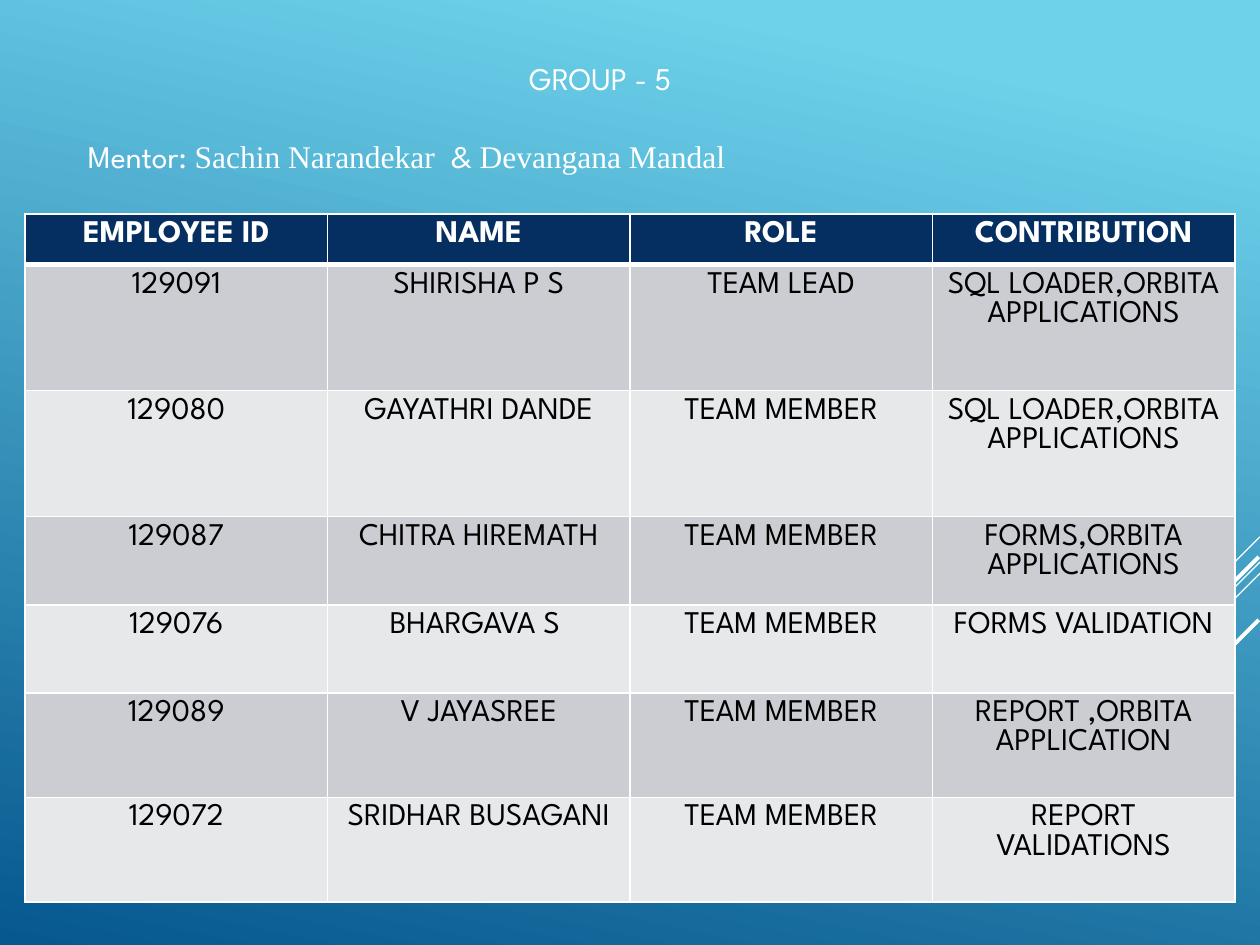
from dataclasses import dataclass

from lxml.etree import SubElement
from pptx import Presentation
from pptx.dml.color import RGBColor
from pptx.enum.text import MSO_ANCHOR, PP_ALIGN
from pptx.oxml.ns import qn
from pptx.util import Inches, Pt


@dataclass(frozen=True)
class Theme:
    sky: str = "6ED2EB"
    deep: str = "06588E"
    white: str = "FFFFFF"
    black: str = "000000"
    header: str = "052F61"
    bands: tuple = ("CCCDD2", "E7E8EA")
    sans: str = "League Spartan"
    serif: str = "Times New Roman"
    size: int = 18


class SlideBuilder:
    """Holds the theme and the current slide; lengths are shares of the slide."""

    def __init__(self, deck, theme):
        self.deck, self.theme = deck, theme
        self.slide = deck.slides.add_slide(deck.slide_layouts[5])

    def place(self, x, y):
        return int(x * self.deck.slide_width), int(y * self.deck.slide_height)

    def background(self, angle):
        fill = self.slide.background.fill
        fill.gradient()
        fill.gradient_angle = 360 - angle
        stops = ((0.1, self.theme.sky), (1, self.theme.deep))
        for stop, (position, color) in zip(fill.gradient_stops, stops):
            stop.position = position
            stop.color.rgb = RGBColor.from_string(color)

    def add_runs(self, paragraph, runs, color, align=PP_ALIGN.LEFT, bold=False):
        paragraph.alignment = align
        for text, face in runs:
            run = paragraph.add_run()
            run.text = text
            run.font.name, run.font.size = face, Pt(self.theme.size)
            run.font.bold = bold
            run.font.color.rgb = RGBColor.from_string(color)

    def fill_frame(self, shape, runs):
        frame = shape.text_frame
        frame.word_wrap = True
        frame.vertical_anchor = MSO_ANCHOR.TOP
        self.add_runs(frame.paragraphs[0], runs, self.theme.white)

    def title(self, x, y, w, h, text):
        title = self.slide.shapes.title
        title.left, title.top = self.place(x, y)
        title.width, title.height = self.place(w, h)
        self.fill_frame(title, [(text, self.theme.sans)])

    def text(self, x, y, w, h, runs):
        box = self.slide.shapes.add_textbox(*self.place(x, y), *self.place(w, h))
        self.fill_frame(box, runs)

    def line(self, start, end, width):
        line = self.slide.shapes.add_connector(1, *self.place(*start), *self.place(*end))
        line.line.color.rgb = RGBColor.from_string(self.theme.white)
        line.line.width = Pt(width)
        SubElement(line._element.spPr, qn("a:effectLst"))

    def borders(self, cell, top, bottom):
        properties = cell._tc.get_or_add_tcPr()
        widths = {"lnL": 1, "lnR": 1, "lnT": top, "lnB": bottom}
        for index, (side, width) in enumerate(widths.items()):
            edge = properties.makeelement(qn(f"a:{side}"), {"w": str(Pt(width))})
            solid = SubElement(edge, qn("a:solidFill"))
            SubElement(solid, qn("a:srgbClr"), val=self.theme.white)
            properties.insert(index, edge)

    def table(self, x, y, w, heights, rows):
        theme = self.theme
        table = self.slide.shapes.add_table(
            len(rows), len(rows[0]), *self.place(x, y), *self.place(w, sum(heights))).table
        for r, (values, height) in enumerate(zip(rows, heights)):
            table.rows[r].height = self.place(0, height)[1]
            is_header = r == 0
            fill = theme.header if is_header else theme.bands[(r - 1) % 2]
            color = theme.white if is_header else theme.black
            for c, value in enumerate(values):
                cell = table.cell(r, c)
                cell.fill.solid()
                cell.fill.fore_color.rgb = RGBColor.from_string(fill)
                self.add_runs(cell.text_frame.paragraphs[0], [(value, theme.sans)],
                              color, PP_ALIGN.CENTER, is_header)
                self.borders(cell, top=3 if r == 1 else 1, bottom=3 if is_header else 1)


TEAM = [
    ("EMPLOYEE ID", "NAME", "ROLE", "CONTRIBUTION"),
    ("129091", "SHIRISHA P S", "TEAM LEAD", "SQL LOADER,ORBITA APPLICATIONS"),
    ("129080", "GAYATHRI DANDE", "TEAM MEMBER", "SQL LOADER,ORBITA APPLICATIONS"),
    ("129087", "CHITRA HIREMATH", "TEAM MEMBER", "FORMS,ORBITA APPLICATIONS"),
    ("129076", "BHARGAVA S ", "TEAM MEMBER", "FORMS VALIDATION"),
    ("129089", "V JAYASREE", "TEAM MEMBER", "REPORT ,ORBITA APPLICATION"),
    ("129072", "SRIDHAR BUSAGANI", "TEAM MEMBER", "REPORT VALIDATIONS"),
]
ROW_INCHES = (0.4, 1, 1, 0.7, 0.7, 0.83, 0.83)
# Diagonal strokes at 45 degrees: right end, top, run in inches, and width in points
STROKES = [(10, 4.26, 0.83, 0.75), (10, 4.46, 2.7, 0.75), (10, 4.55, 1.72, 0.75),
           (9.99, 4.42, 1.57, 2.25), (9.99, 4.92, 1.14, 2.25)]


def main():
    deck = Presentation()
    deck.slide_width, deck.slide_height = Inches(10), Inches(7.5)
    theme = Theme()
    page = SlideBuilder(deck, theme)

    # Backdrop with diagonal strokes
    page.background(angle=102)
    for right, top, run, width in STROKES:
        page.line((right / 10, top / 7.5), ((right - run) / 10, (top + run) / 7.5), width)

    # Group heading and mentors
    page.title(0.41, 0.42 / 7.5, 0.26, 0.4 / 7.5, "GROUP - 5")
    page.text(0.06, 1.04 / 7.5, 0.92, 0.4 / 7.5, [
        ("Mentor: ", theme.sans), ("Sachin Narandekar  ", theme.serif),
        ("& ", theme.sans), ("Devangana Mandal", theme.serif)])

    # Team table
    page.table(0.02, 1.7 / 7.5, 0.96, [height / 7.5 for height in ROW_INCHES], TEAM)

    deck.save("out.pptx")


if __name__ == "__main__":
    main()
